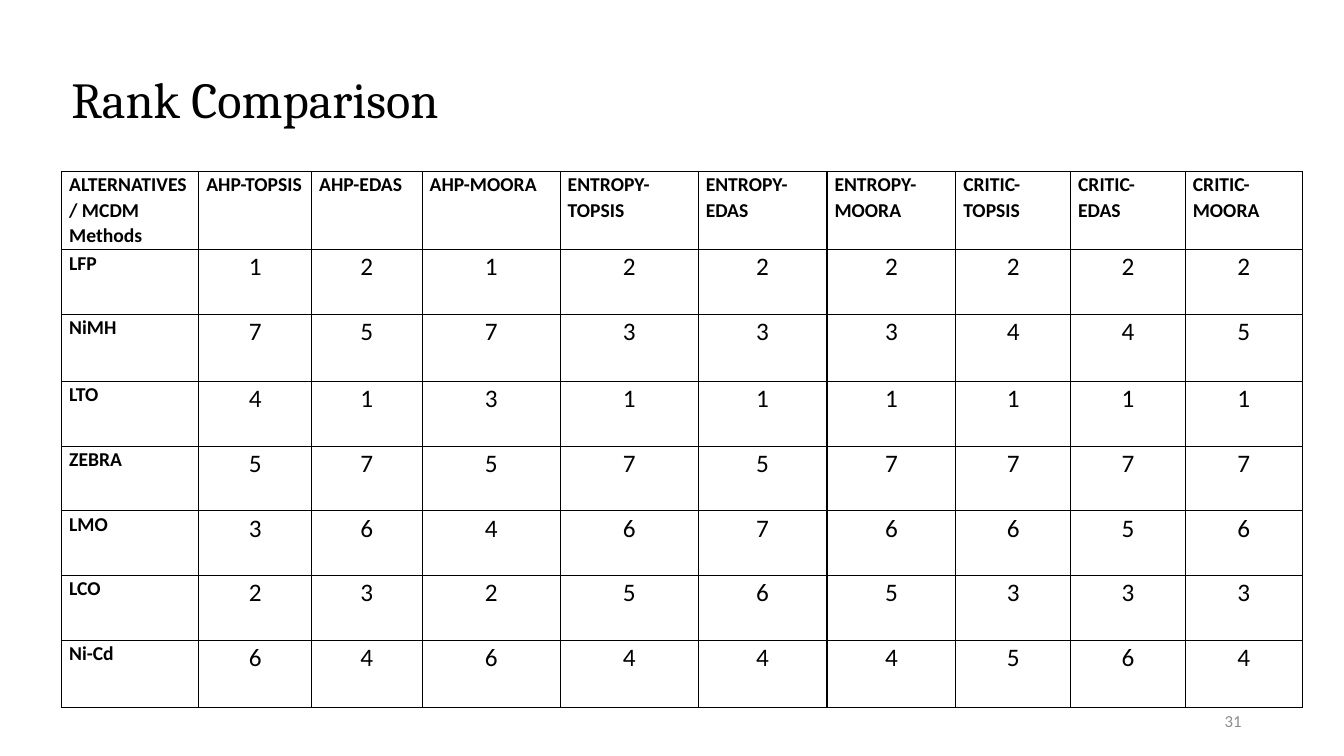
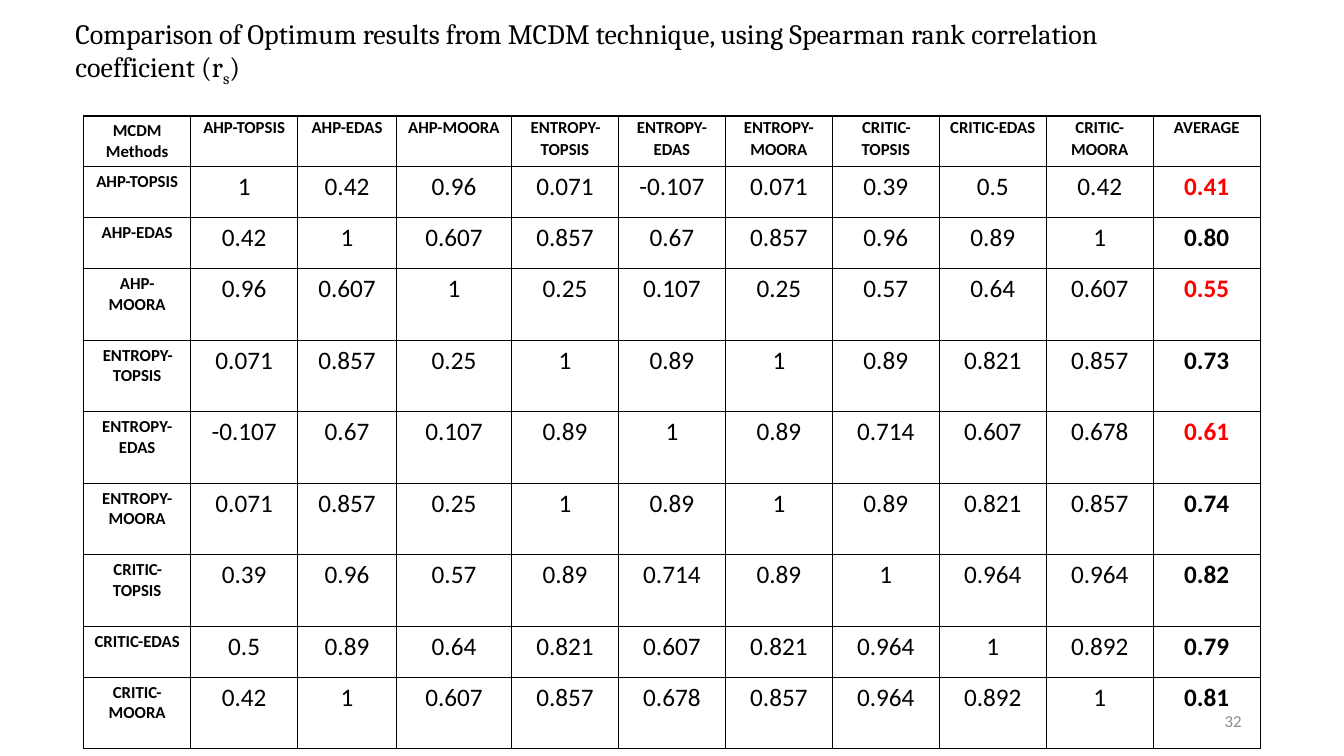
from pptx import Presentation
from pptx.dml.color import RGBColor
from pptx.enum import text as t
from pptx.oxml import parse_xml
from pptx.oxml.ns import nsdecls
from pptx.util import Pt

# Shared style
BLACK, RED, GREY = "000000", "FF0000", "8C8C8C"
HEAD, BODY = "Cambria", "Calibri"
LEFT, MID, RIGHT = t.PP_ALIGN.LEFT, t.PP_ALIGN.CENTER, t.PP_ALIGN.RIGHT

# Content
METHODS = [f"{weight}-{rank}" for weight in ("AHP", "ENTROPY", "CRITIC")
           for rank in ("TOPSIS", "EDAS", "MOORA")]
RANKS = [
    ("LFP", "1 2 1 2 2 2 2 2 2"),
    ("NiMH", "7 5 7 3 3 3 4 4 5"),
    ("LTO", "4 1 3 1 1 1 1 1 1"),
    ("ZEBRA", "5 7 5 7 5 7 7 7 7"),
    ("LMO", "3 6 4 6 7 6 6 5 6"),
    ("LCO", "2 3 2 5 6 5 3 3 3"),
    ("Ni-Cd", "6 4 6 4 4 4 5 6 4"),
]
# Correlations with each method, then the average
CORRS = [
    "1 0.42 0.96 0.071 -0.107 0.071 0.39 0.5 0.42 0.41",
    "0.42 1 0.607 0.857 0.67 0.857 0.96 0.89 1 0.80",
    "0.96 0.607 1 0.25 0.107 0.25 0.57 0.64 0.607 0.55",
    "0.071 0.857 0.25 1 0.89 1 0.89 0.821 0.857 0.73",
    "-0.107 0.67 0.107 0.89 1 0.89 0.714 0.607 0.678 0.61",
    "0.071 0.857 0.25 1 0.89 1 0.89 0.821 0.857 0.74",
    "0.39 0.96 0.57 0.89 0.714 0.89 1 0.964 0.964 0.82",
    "0.5 0.89 0.64 0.821 0.607 0.821 0.964 1 0.892 0.79",
    "0.42 1 0.607 0.857 0.678 0.857 0.964 0.892 1 0.81",
]
LOW = 0.7  # averages below this are red


def style(para, face, size, color=BLACK, bold=False, align=LEFT):
    font = para.font
    font.name, font.size, font.bold = face, Pt(size), bold
    font.color.rgb = RGBColor.from_string(color)
    para.alignment = align


def label(slide, box, runs, face, size, color=BLACK, align=LEFT,
          anchor=t.MSO_ANCHOR.MIDDLE):
    """Add a text box; runs pair each text with its baseline shift."""
    frame = slide.shapes.add_textbox(*map(Pt, box)).text_frame
    frame.word_wrap, frame.vertical_anchor = True, anchor
    para = frame.paragraphs[0]
    style(para, face, size, color, align=align)
    for words, shift in runs:
        run = para.add_run()
        run.text = words
        if shift:
            run._r.get_or_add_rPr().set("baseline", str(shift * 1000))
    return para


def border(cell):
    props = cell._tc.get_or_add_tcPr()
    for i, side in enumerate("LRTB"):
        props.insert(i, parse_xml(
            f'<a:ln{side} {nsdecls("a")} w="12700"><a:solidFill>'
            f'<a:srgbClr val="{BLACK}"/></a:solidFill></a:ln{side}>'))


def grid(slide, left, top, cols, rows, data, paint):
    """Add a ruled table; paint(r, c, value) gives (style options, tight)."""
    table = slide.shapes.add_table(
        len(rows), len(cols), Pt(left), Pt(top),
        Pt(sum(cols)), Pt(sum(rows))).table
    table.first_row = table.horz_banding = False
    for col, width in zip(table.columns, cols):
        col.width = Pt(width)
    for r, line in enumerate(data):
        table.rows[r].height = Pt(rows[r])
        for c, value in enumerate(line):
            cell = table.cell(r, c)
            cell.text = value
            look, tight = paint(r, c, value)
            para = cell.text_frame.paragraphs[0]
            style(para, BODY, **look)
            if tight:
                cell.margin_left = cell.margin_right = Pt(5.4)
                cell.margin_top = cell.margin_bottom = 0
                para.line_spacing, para.space_after = 1.07, Pt(8)
            cell.fill.background()
            border(cell)


def rank(r, c, value):
    if r == 0 or c == 0:
        return dict(size=14, bold=True), True
    return dict(size=18, align=MID), True


def corr(r, c, value):
    if r == 0 or c == 0:
        return dict(size=12, bold=True, align=MID), r == 0 and c > 0
    mean = c == len(METHODS) + 1
    color = RED if mean and float(value) < LOW else BLACK
    return dict(size=18, bold=mean, color=color, align=MID), False


def page(deck, number):
    slide = deck.slides.add_slide(deck.slide_layouts[6])
    label(slide, (678, 500.5, 216, 28.75), [(str(number), 0)],
          BODY, 12, GREY, RIGHT)
    return slide


def main():
    deck = Presentation()
    deck.slide_width, deck.slide_height = Pt(960), Pt(540)

    # Ranks of the alternatives
    slide = page(deck, 31)
    title = label(slide, (44, 36, 828, 73.5), [("Rank Comparison", 0)], HEAD, 36)
    title.line_spacing = 0.9
    data = [["ALTERNATIVES/ MCDM Methods"] + METHODS]
    data += [[name] + line.split() for name, line in RANKS]
    cols = [98, 80.6, 79, 98.6, 98.6, 92, 92, 82, 82, 83.6]
    rows = [56, 46.2, 48, 46.2, 46.2, 46.2, 46.2, 48]
    grid(slide, 44, 122.4, cols, rows, data, rank)

    # Correlation between the methods
    slide = page(deck, 32)
    title = label(slide, (46.8, 10.8, 828, 451.4), [
        ("Comparison of Optimum results from MCDM technique, using "
         "Spearman rank correlation coefficient (r", 0),
        ("s", -25), (")", 0)], HEAD, 20, anchor=t.MSO_ANCHOR.TOP)
    title.line_spacing, title.space_before = 0.9, Pt(10)
    data = [["MCDM Methods"] + METHODS + ["AVERAGE"]]
    data += [[name] + line.split() for name, line in zip(METHODS, CORRS)]
    cols = [76.4, 76.4, 70.6, 82.2] + [76.4] * 7
    low, high = 36.4, 51.1
    rows = [low] * 3 + [high] * 5 + [low, high]
    grid(slide, 59.8, 82.8, cols, rows, data, corr)

    deck.save("out.pptx")


if __name__ == "__main__":
    main()
